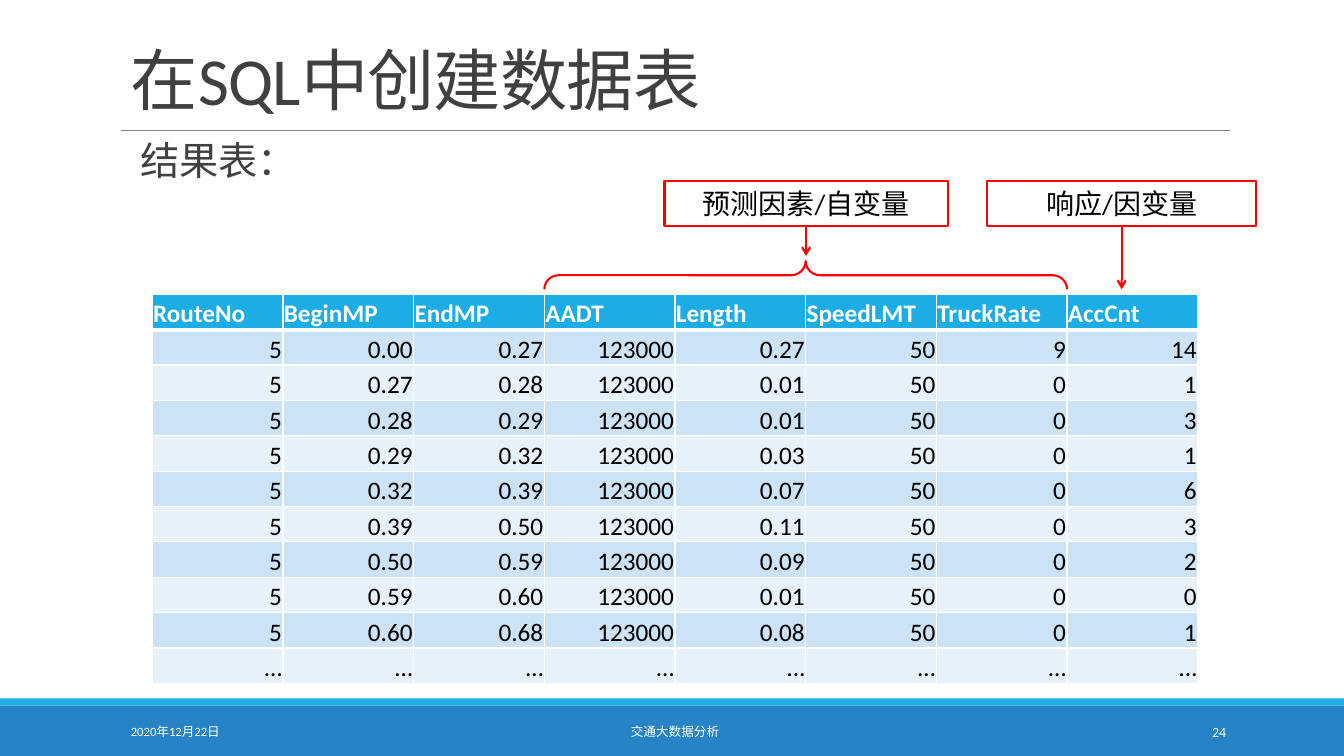
from dataclasses import dataclass

from lxml.etree import SubElement
from pptx import Presentation
from pptx.dml.color import RGBColor
from pptx.enum.shapes import MSO_CONNECTOR, MSO_SHAPE
from pptx.enum.text import MSO_ANCHOR, PP_ALIGN
from pptx.oxml.ns import qn
from pptx.util import Inches, Pt


@dataclass(frozen=True)
class Theme:
    font: str = "Calibri"
    ink: str = "404040"
    black: str = "000000"
    white: str = "FFFFFF"
    rule: str = "808080"
    accent: str = "1CADE4"
    footer: str = "2683C6"
    mark: str = "FF0000"
    bands: tuple = ("CCE3F5", "E7F1FA")
    title_size: float = 48
    lead_size: float = 28
    callout_size: float = 20
    table_size: float = 18
    number_size: float = 10
    footer_size: float = 9
    mark_width: float = 1.5


@dataclass(frozen=True)
class Box:
    left: float
    top: float
    width: float
    height: float

    @property
    def center(self):
        return self.left + self.width / 2

    @property
    def bottom(self):
        return self.top + self.height

    def lengths(self):
        return [Inches(v) for v in (self.left, self.top, self.width, self.height)]


THEME = Theme()
HEADERS = ["RouteNo", "BeginMP", "EndMP", "AADT", "Length", "SpeedLMT", "TruckRate", "AccCnt"]
# BeginMP, EndMP, Length, TruckRate, AccCnt
SEGMENTS = [
    ("0.00", "0.27", "0.27", "9", "14"),
    ("0.27", "0.28", "0.01", "0", "1"),
    ("0.28", "0.29", "0.01", "0", "3"),
    ("0.29", "0.32", "0.03", "0", "1"),
    ("0.32", "0.39", "0.07", "0", "6"),
    ("0.39", "0.50", "0.11", "0", "3"),
    ("0.50", "0.59", "0.09", "0", "2"),
    ("0.59", "0.60", "0.01", "0", "0"),
    ("0.60", "0.68", "0.08", "0", "1"),
]
ROWS = [["5", begin, end, "123000", length, "50", truck, accidents]
        for begin, end, length, truck, accidents in SEGMENTS]
ROWS.append(["…"] * len(HEADERS))


def rgb(color):
    return RGBColor.from_string(color)


def write(frame, text, size, color, align=PP_ALIGN.LEFT, anchor=MSO_ANCHOR.TOP, bold=False):
    frame.word_wrap = True
    frame.vertical_anchor = anchor
    paragraph = frame.paragraphs[0]
    paragraph.alignment = align
    run = paragraph.add_run()
    run.text = text
    run.font.name = THEME.font
    run.font.size = Pt(size)
    run.font.bold = bold
    run.font.color.rgb = rgb(color)
    return paragraph


def add_label(slide, box, *args, **kwargs):
    frame = slide.shapes.add_textbox(*box.lengths()).text_frame
    return write(frame, *args, **kwargs)


def add_outline(slide, kind, box):
    shape = slide.shapes.add_shape(kind, *box.lengths())
    shape.shadow.inherit = False
    shape.fill.background()
    shape.line.color.rgb = rgb(THEME.mark)
    shape.line.width = Pt(THEME.mark_width)
    return shape


def add_line(slide, start, end, color, width, arrow=False):
    points = [Inches(v) for v in (*start, *end)]
    line = slide.shapes.add_connector(MSO_CONNECTOR.STRAIGHT, *points)
    line.line.color.rgb = rgb(color)
    line.line.width = Pt(width)
    if arrow:
        SubElement(line.line._get_or_add_ln(), qn("a:tailEnd"), type="arrow")
    SubElement(line._element.spPr, qn("a:effectLst"))


def add_heading(slide, box):
    title = add_label(slide, box, "在SQL中创建数据表", THEME.title_size, THEME.ink,
                      anchor=MSO_ANCHOR.BOTTOM)
    title.line_spacing = 0.85
    title.runs[0].font._element.set("spc", "-50")
    rule_y = box.bottom + 0.06
    add_line(slide, (box.left, rule_y), (box.left + box.width, rule_y), THEME.rule, 0.5)


def add_lead(slide, box):
    frame = slide.shapes.add_textbox(*box.lengths()).text_frame
    frame.margin_left = frame.margin_right = 0
    properties = frame.paragraphs[0]._p.get_or_add_pPr()
    properties.set("marL", str(Inches(0.1)))
    properties.set("indent", str(Inches(-0.1)))
    bullet_color = SubElement(properties, qn("a:buClr"))
    SubElement(bullet_color, qn("a:srgbClr"), val=THEME.accent)
    SubElement(properties, qn("a:buChar"), char=" ")
    lead = write(frame, "结果表：", THEME.lead_size, THEME.ink)
    lead.line_spacing = 0.9
    lead.space_after = Pt(2)


def add_callout(slide, box, text, arrow_length):
    """Framed label with an arrow down from the middle of its lower edge."""
    frame = add_outline(slide, MSO_SHAPE.RECTANGLE, box).text_frame
    write(frame, text, THEME.callout_size, THEME.black, PP_ALIGN.CENTER)
    add_line(slide, (box.center, box.bottom), (box.center, box.bottom + arrow_length),
             THEME.mark, THEME.mark_width, arrow=True)


def add_brace(slide, box):
    """Brace opening downwards: a right brace turned a quarter to the left."""
    upright = Box(box.center - box.height / 2, box.top + (box.height - box.width) / 2,
                  box.height, box.width)
    brace = add_outline(slide, MSO_SHAPE.RIGHT_BRACE, upright)
    brace.rotation = 270
    brace.adjustments[0] = 0.51
    brace.adjustments[1] = 0.5


def add_border(cell, side, width):
    border = SubElement(cell._tc.get_or_add_tcPr(), qn(f"a:ln{side}"), w=str(Pt(width)))
    fill = SubElement(border, qn("a:solidFill"))
    SubElement(fill, qn("a:srgbClr"), val=THEME.white)


def add_results(slide, box):
    lines = [HEADERS, *ROWS]
    table = slide.shapes.add_table(len(lines), len(HEADERS), *box.lengths()).table
    for column in table.columns:
        column.width = Inches(box.width / len(HEADERS))
    for r, line in enumerate(lines):
        table.rows[r].height = Inches(box.height / len(lines))
        header = r == 0
        for c, text in enumerate(line):
            cell = table.cell(r, c)
            cell.margin_left = cell.margin_right = cell.margin_top = Inches(0.01)
            cell.margin_bottom = 0
            cell.vertical_anchor = MSO_ANCHOR.BOTTOM
            for side, width in zip("LRTB", (1, 1, 3 if r == 1 else 1, 3 if header else 1)):
                add_border(cell, side, width)
            cell.fill.solid()
            cell.fill.fore_color.rgb = rgb(THEME.accent if header else THEME.bands[(r - 1) % 2])
            paragraph = cell.text_frame.paragraphs[0]
            paragraph.alignment = PP_ALIGN.LEFT if header else PP_ALIGN.RIGHT
            run = paragraph.add_run()
            run.text = text
            run.font.name = THEME.font
            run.font.size = Pt(THEME.table_size)
            run.font.bold = header
            run.font.color.rgb = rgb(THEME.white if header else THEME.black)


def add_footer(slide, box):
    stripe = Box(box.left, box.top - 0.07, box.width, 0.07)
    for band, color in ((box, THEME.footer), (stripe, THEME.accent)):
        shape = slide.shapes.add_shape(MSO_SHAPE.RECTANGLE, *band.lengths())
        shape.shadow.inherit = False
        shape.fill.solid()
        shape.fill.fore_color.rgb = rgb(color)
        shape.line.fill.background()
    for left, width, text, size, align in (
        (1.2, 2.7, "2020年12月22日", THEME.footer_size, PP_ALIGN.LEFT),
        (4.06, 5.27, "交通大数据分析", THEME.footer_size, PP_ALIGN.CENTER),
        (10.83, 1.43, "24", THEME.number_size, PP_ALIGN.RIGHT),
    ):
        add_label(slide, Box(box.left + left, box.top + 0.06, width, 0.4), text, size,
                  THEME.white, align, MSO_ANCHOR.MIDDLE)


def main():
    deck = Presentation()
    deck.slide_width, deck.slide_height = Inches(13.33), Inches(7.5)
    slide = deck.slides.add_slide(deck.slide_layouts[6])
    results = Box(1.51, 2.92, 10.37, 3.86)
    column = results.width / len(HEADERS)
    add_footer(slide, Box(0, 7, 13.33, 0.5))
    add_heading(slide, Box(1.2, 0.14, 11, 1.09))
    add_lead(slide, Box(1.2, 1.36, 4.13, 2.73))
    first_predictor = results.left + HEADERS.index("AADT") * column
    add_brace(slide, Box(first_predictor, results.top - 0.33, 4 * column, 0.28))
    add_callout(slide, Box(6.59, 1.8, 2.81, 0.44), "预测因素/自变量", 0.3)
    add_callout(slide, Box(9.79, 1.8, 2.67, 0.44), "响应/因变量", 0.63)
    add_results(slide, results)
    deck.save("out.pptx")


if __name__ == "__main__":
    main()
